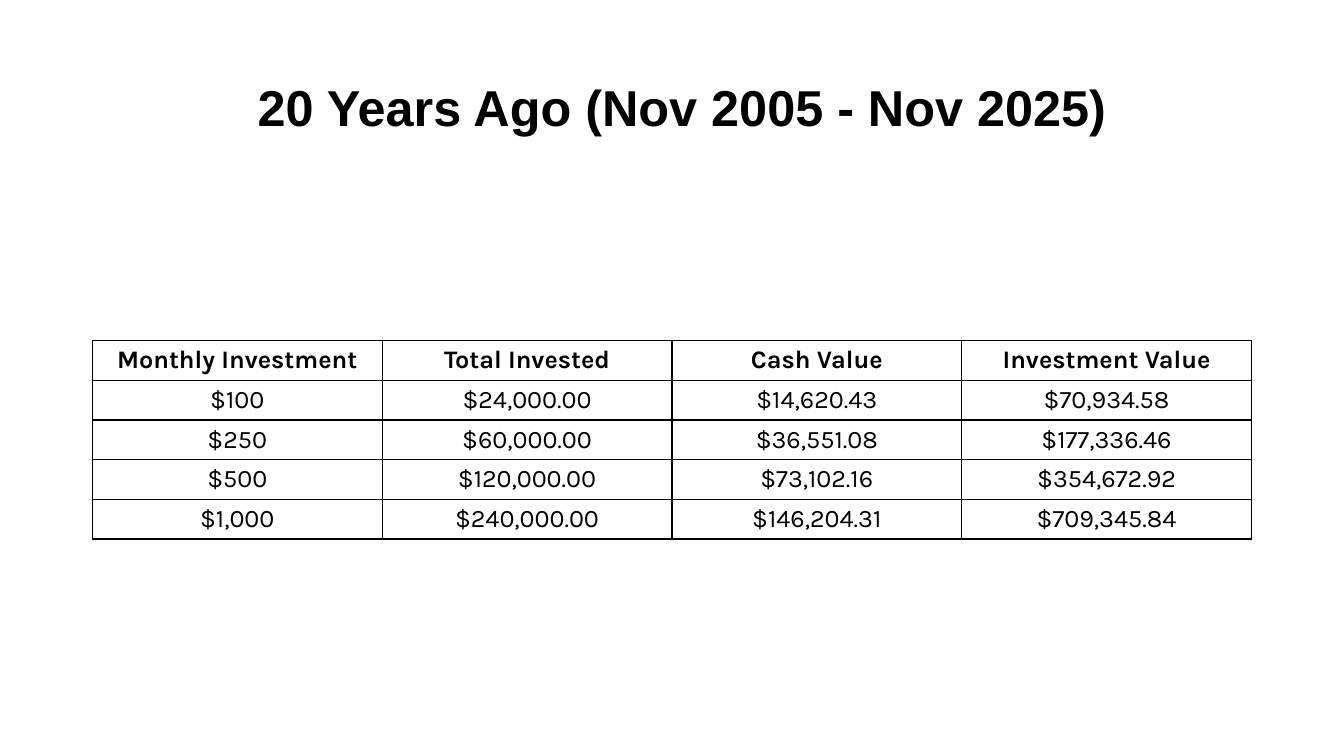
from lxml.etree import SubElement
from pptx import Presentation
from pptx.dml.color import RGBColor
from pptx.enum.text import MSO_ANCHOR as Anchor, PP_ALIGN as Align
from pptx.oxml.ns import qn
from pptx.util import Pt

TITLE = "20 Years Ago (Nov 2005 - Nov 2025)"
RETURNS = [
    ("Monthly Investment", "Total Invested", "Cash Value", "Investment Value"),
    ("$100", "$24,000.00", "$14,620.43", "$70,934.58"),
    ("$250", "$60,000.00", "$36,551.08", "$177,336.46"),
    ("$500", "$120,000.00", "$73,102.16", "$354,672.92"),
    ("$1,000", "$240,000.00", "$146,204.31", "$709,345.84"),
]
THEME = {
    "ink": "000000",
    "border": 1,
    "title": {"name": "Arial", "size": Pt(36), "bold": True},
    "header": {"name": "Karla", "size": Pt(18), "bold": True},
    "body": {"name": "Karla", "size": Pt(18), "bold": False},
}
PAGE_WIDTH, PAGE_HEIGHT = 960, 540
TITLE_BOX = (177, 49, 626.4, 72.7)
TABLE_LEFT, TABLE_TOP, TABLE_WIDTH = 66, 243.3, 828
ROW_HEIGHT = 28.35


def write(frame, text, style, align):
    para = frame.paragraphs[0]
    para.alignment = align
    span = para.add_run()
    span.text = text
    for key, value in THEME[style].items():
        setattr(span.font, key, value)
    span.font.color.rgb = RGBColor.from_string(THEME["ink"])


def draw_borders(cell):
    properties = cell._tc.get_or_add_tcPr()
    for side in ("lnL", "lnR", "lnT", "lnB"):
        line = SubElement(properties, qn(f"a:{side}"), w=str(Pt(THEME["border"])))
        fill = SubElement(line, qn("a:solidFill"))
        SubElement(fill, qn("a:srgbClr"), val=THEME["ink"])


def add_title(page):
    frame = page.shapes.add_textbox(*map(Pt, TITLE_BOX)).text_frame
    layout = {"word_wrap": True, "vertical_anchor": Anchor.TOP, "margin_top": Pt(5.3)}
    for key, value in layout.items():
        setattr(frame, key, value)
    write(frame, TITLE, "title", Align.LEFT)


def add_returns(page):
    row_count, column_count = len(RETURNS), len(RETURNS[0])
    bounds = (TABLE_LEFT, TABLE_TOP, TABLE_WIDTH, ROW_HEIGHT * row_count)
    table = page.shapes.add_table(row_count, column_count, *map(Pt, bounds)).table
    table.first_row = table.horz_banding = False
    for column in table.columns:
        column.width = Pt(TABLE_WIDTH / column_count)
    for row_index, values in enumerate(RETURNS):
        table.rows[row_index].height = Pt(ROW_HEIGHT)
        for column_index, value in enumerate(values):
            cell = table.cell(row_index, column_index)
            cell.vertical_anchor = Anchor.MIDDLE
            draw_borders(cell)
            cell.fill.background()
            write(cell.text_frame, value, "body" if row_index else "header", Align.CENTER)


def main():
    deck = Presentation()
    deck.slide_width, deck.slide_height = Pt(PAGE_WIDTH), Pt(PAGE_HEIGHT)
    page = deck.slides.add_slide(deck.slide_layouts[6])
    add_returns(page)
    add_title(page)
    deck.save("out.pptx")


if __name__ == "__main__":
    main()
